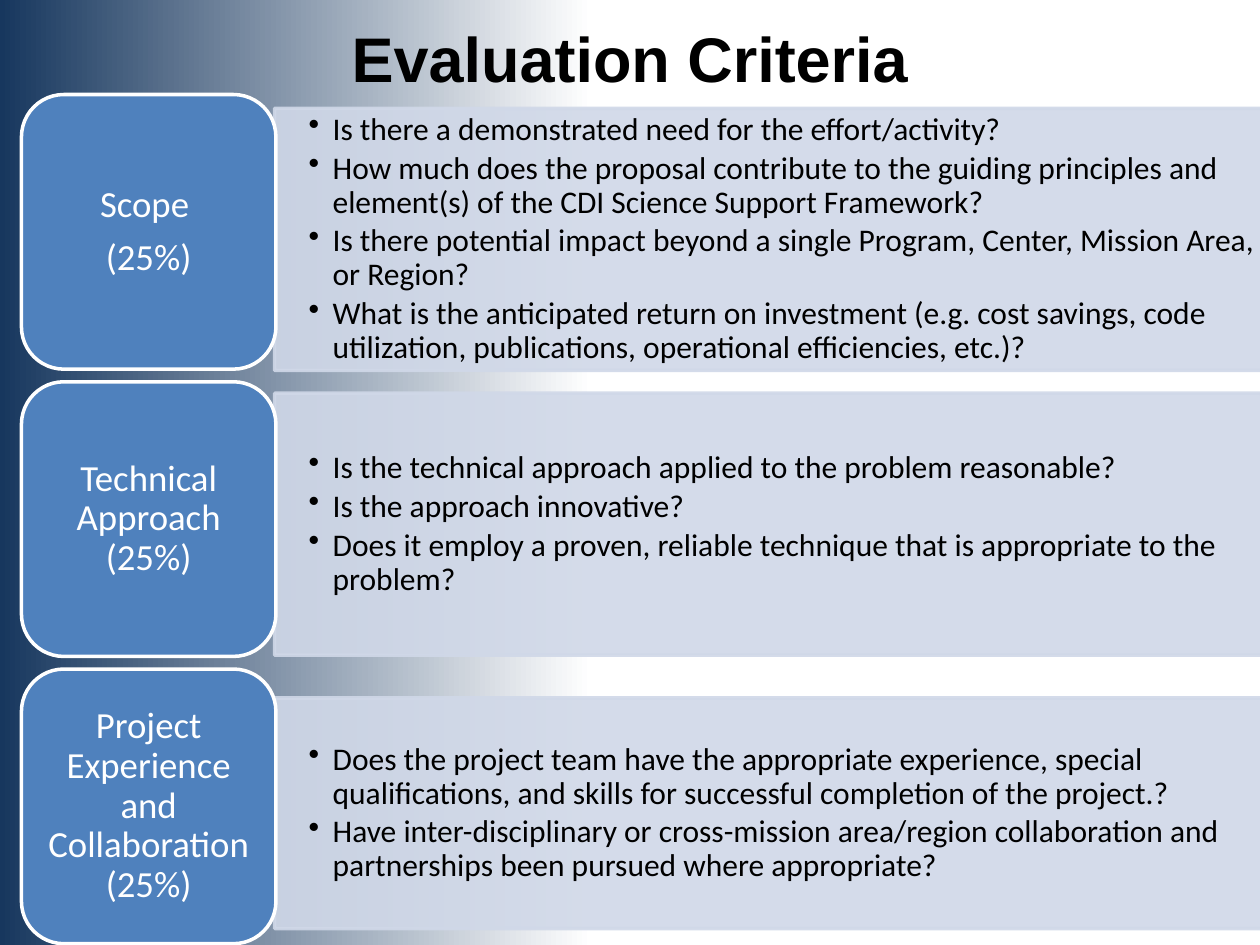
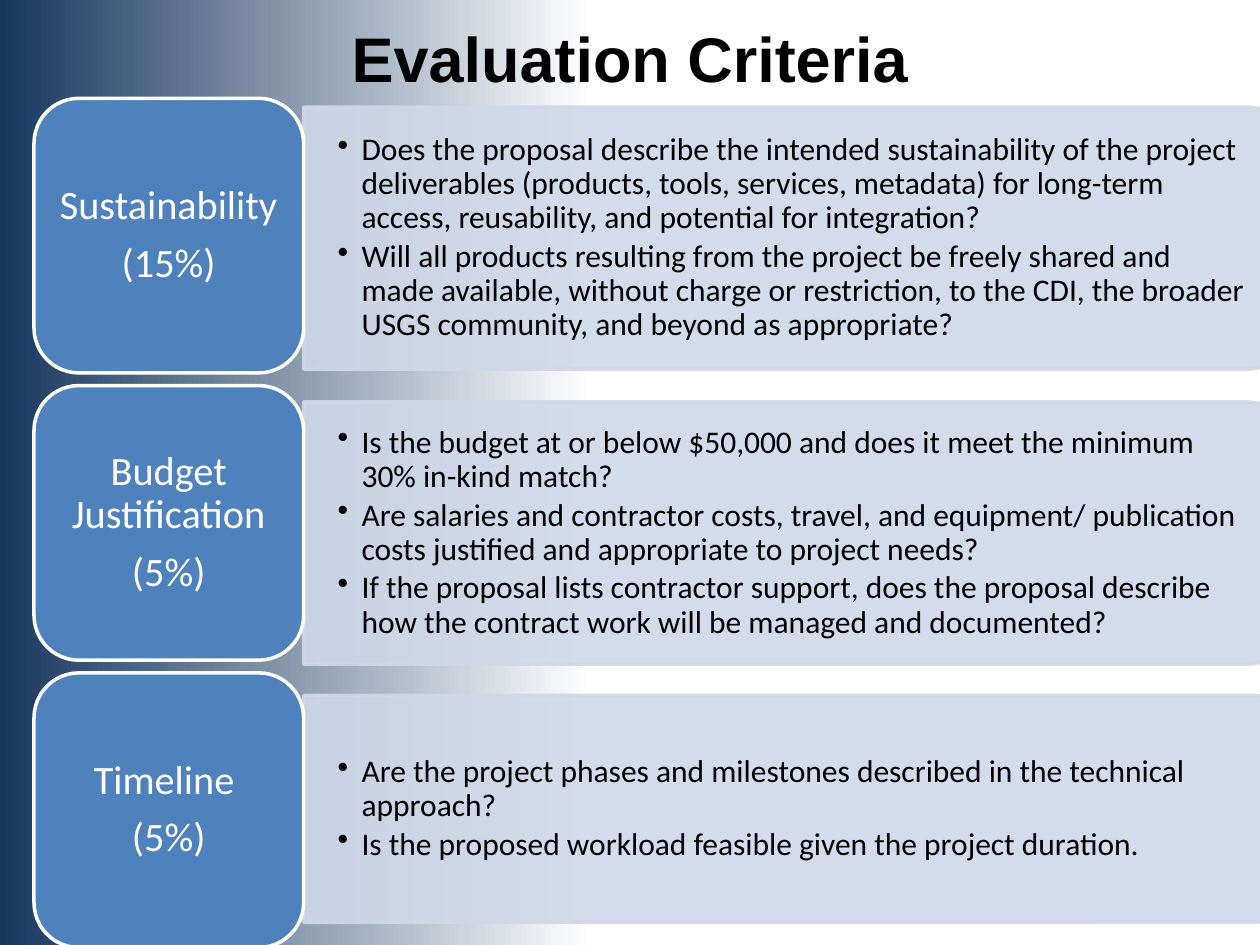
from dataclasses import dataclass

from lxml import etree
from pptx import Presentation
from pptx.dml.color import RGBColor
from pptx.enum import shapes, text
from pptx.oxml.ns import qn
from pptx.util import Inches, Pt


@dataclass(frozen=True)
class Theme:
    navy: RGBColor = RGBColor(0x17, 0x37, 0x5E)
    blue: RGBColor = RGBColor(0x4F, 0x81, 0xBD)
    pale: RGBColor = RGBColor(0xD0, 0xD8, 0xE8)
    white: RGBColor = RGBColor(0xFF, 0xFF, 0xFF)
    black: RGBColor = RGBColor(0, 0, 0)
    title_font: str = "Arial"
    body_font: str = "Calibri"
    title_size: int = 36
    bullet_size: int = 18
    outline: int = 2


@dataclass(frozen=True)
class Criterion:
    label: tuple[str, ...]
    questions: tuple[str, ...]
    panel_top: float
    panel_height: float = 2.08


@dataclass(frozen=True)
class Grid:
    badge_left: float
    badge_top: float
    badge_width: float
    label_size: int
    panel_left: float
    panel_width: float
    criteria: tuple[Criterion, ...]


THEME = Theme()
TITLE = "Evaluation Criteria"
BADGE_HEIGHT = 2.18
BADGE_STEP = 2.28
PANEL_MARGIN = 0.1

GRIDS = (
    Grid(0.17, 0.75, 2.02, 21, 2.18, 8.15, (
        Criterion(("Scope ", "(25%)"), (
            "Is there a demonstrated need for the effort/activity?",
            "How much does the proposal contribute to the guiding principles and "
            "element(s) of the CDI Science Support Framework?",
            "Is there potential impact beyond a single Program, Center, Mission "
            "Area, or Region?",
            "What is the anticipated return on investment (e.g. cost savings, code "
            "utilization, publications, operational efficiencies, etc.)?",
        ), 0.86),
        Criterion(("Technical Approach (25%)",), (
            "Is the technical approach applied to the problem reasonable?",
            "Is the approach innovative?",
            "Does it employ a proven, reliable technique that is appropriate to the "
            "problem?",
        ), 3.12),
        Criterion(("Project Experience and Collaboration (25%)",), (
            "Does the project team have the appropriate experience, special "
            "qualifications, and skills for successful completion of the project.?",
            "Have inter-disciplinary or cross-mission area/region collaboration and "
            "partnerships been pursued where appropriate?",
        ), 5.54, 1.83),
    )),
    Grid(0.27, 0.78, 2.14, 23, 2.41, 7.84, (
        Criterion(("Sustainability", "(15%)"), (
            "Does the proposal describe the intended sustainability of the project "
            "deliverables (products, tools, services, metadata) for long-term "
            "access, reusability, and potential for integration?",
            "Will all products resulting from the project be freely shared and "
            "made available, without charge or restriction, to the CDI, the broader "
            "USGS community, and beyond as appropriate?",
        ), 0.85),
        Criterion(("Budget Justification", "(5%)"), (
            "Is the budget at or below $50,000 and does it meet the minimum "
            "30% in-kind match?",
            "Are salaries and contractor costs, travel, and equipment/ publication "
            "costs justified and appropriate to project needs?",
            "If the proposal lists contractor support, does the proposal describe "
            "how the contract work will be managed and documented?",
        ), 3.19),
        Criterion(("Timeline ", "(5%)"), (
            "Are the project phases and milestones described in the technical "
            "approach?",
            "Is the proposed workload feasible given the project duration.",
        ), 5.52, 1.8),
    )),
)


def set_alpha(color_parent, percent: int) -> None:
    for color in color_parent.iter(qn("a:srgbClr")):
        etree.SubElement(color, qn("a:alpha"), val=str(percent * 1000))


def set_background(master) -> None:
    fill = master.background.fill
    fill.gradient()
    fill.gradient_angle = 0
    colors = ((0, THEME.navy), (0.47, THEME.white))
    for stop, (position, color) in zip(fill.gradient_stops, colors):
        stop.position = position
        stop.color.rgb = color
    set_alpha(next(master.element.iter(qn("a:gs"))), 60)


def add_run(p, words: str, font: str, size: int, color: RGBColor, bold: bool = False) -> None:
    r = p.add_run()
    r.text = words
    r.font.name = font
    r.font.size = Pt(size)
    r.font.color.rgb = color
    r.font.bold = bold


def add_title(s) -> None:
    sp = s.shapes.title
    sp.left, sp.top = Inches(0.5), Inches(-0.17)
    sp.width, sp.height = Inches(9), Inches(1.25)
    tf = sp.text_frame
    tf.vertical_anchor = text.MSO_ANCHOR.MIDDLE
    p = tf.paragraphs[0]
    p.alignment = text.PP_ALIGN.CENTER
    add_run(p, TITLE, THEME.title_font, THEME.title_size, THEME.black, True)


def set_frame(tf, side: float, end: float) -> None:
    tf.word_wrap = True
    tf.vertical_anchor = text.MSO_ANCHOR.MIDDLE
    tf.margin_left = tf.margin_right = Inches(side)
    tf.margin_top = tf.margin_bottom = Inches(end)


def add_paragraphs(tf, lines: tuple[str, ...], size: int, color: RGBColor,
                   gap: float, bulleted: bool = False) -> None:
    for i, line in enumerate(lines):
        p = tf.add_paragraph() if i else tf.paragraphs[0]
        p.line_spacing = 0.9
        p.space_after = Pt(size * gap)
        if bulleted:
            p.level = 1
            pPr = p._p.get_or_add_pPr()
            pPr.set("marL", str(Inches(0.19)))
            pPr.set("indent", str(Inches(-0.19)))
            etree.SubElement(pPr, qn("a:buChar"), char="•")
        else:
            p.alignment = text.PP_ALIGN.CENTER
        add_run(p, line, THEME.body_font, size, color)


def add_block(s, kind, left: float, top: float, width: float, height: float,
              fill: RGBColor, line: RGBColor):
    sp = s.shapes.add_shape(kind, Inches(left), Inches(top), Inches(width), Inches(height))
    sp.shadow.inherit = False
    sp.fill.solid()
    sp.fill.fore_color.rgb = fill
    sp.line.color.rgb = line
    sp.line.width = Pt(THEME.outline)
    return sp


def add_panel(s, grid: Grid, item: Criterion) -> None:
    width, height = grid.panel_width, item.panel_height
    shift = (width - height) / 2
    sp = add_block(s, shapes.MSO_SHAPE.ROUND_2_SAME_RECTANGLE,
                   grid.panel_left + shift, item.panel_top - shift, height, width,
                   THEME.pale, THEME.pale)
    sp.rotation = 90
    set_alpha(sp._element.spPr, 90)
    box = s.shapes.add_textbox(Inches(grid.panel_left), Inches(item.panel_top + PANEL_MARGIN),
                               Inches(width - PANEL_MARGIN), Inches(height - 2 * PANEL_MARGIN))
    set_frame(box.text_frame, 0.27, 0.14)
    add_paragraphs(box.text_frame, item.questions, THEME.bullet_size, THEME.black, 0.15, True)


def add_badge(s, grid: Grid, row: int, item: Criterion) -> None:
    sp = add_block(s, shapes.MSO_SHAPE.ROUNDED_RECTANGLE, grid.badge_left,
                   grid.badge_top + row * BADGE_STEP, grid.badge_width, BADGE_HEIGHT,
                   THEME.blue, THEME.white)
    set_frame(sp.text_frame, 0.09, 0.04)
    add_paragraphs(sp.text_frame, item.label, grid.label_size, THEME.white, 0.35)


def main() -> None:
    prs = Presentation()
    prs.slide_width, prs.slide_height = Inches(10), Inches(7.5)
    set_background(prs.slide_master)
    for grid in GRIDS:
        s = prs.slides.add_slide(prs.slide_layouts.get_by_name("Title Only"))
        add_title(s)
        for row, item in enumerate(grid.criteria):
            add_panel(s, grid, item)
            add_badge(s, grid, row, item)
    prs.save("out.pptx")


if __name__ == "__main__":
    main()
